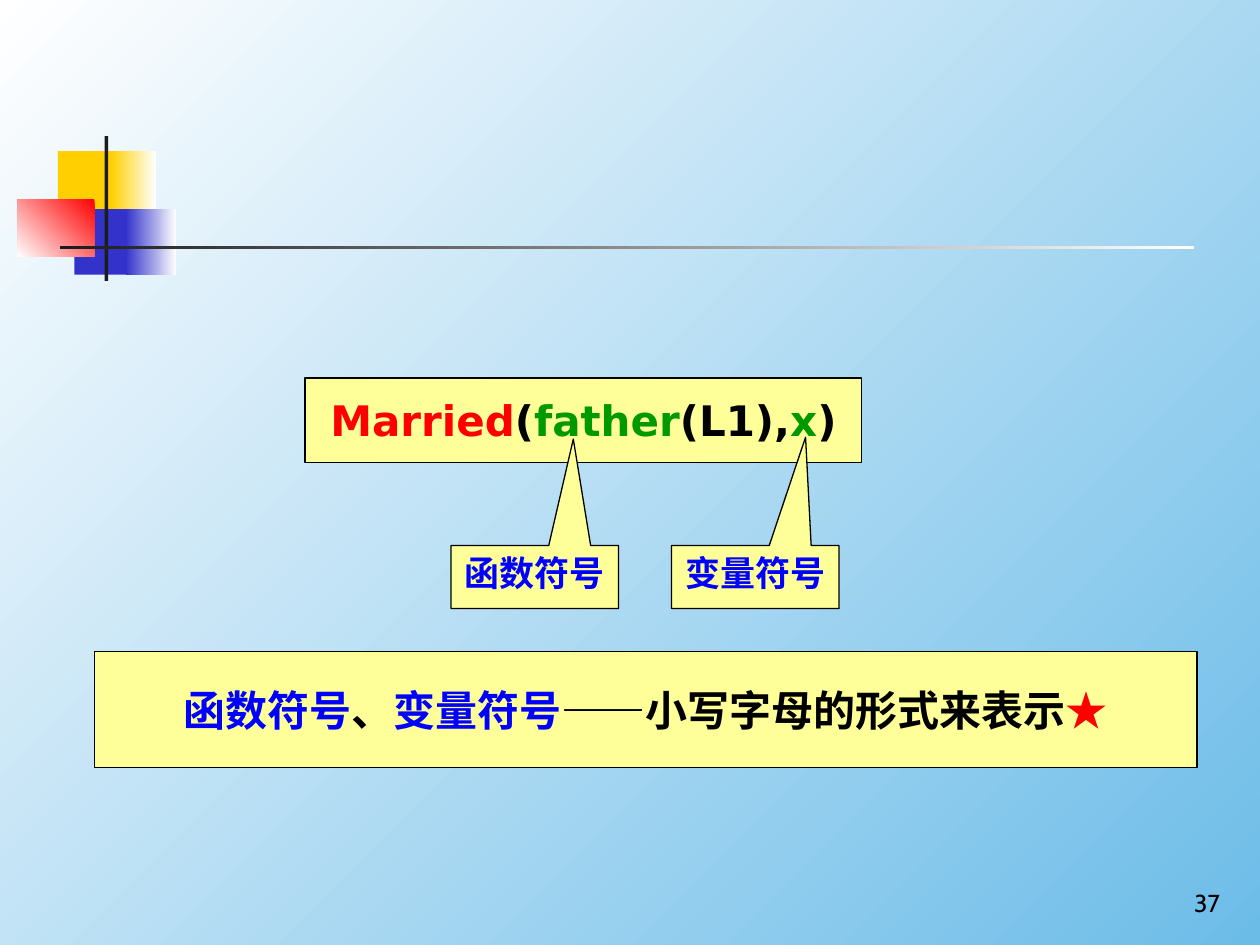
from pptx import Presentation
from pptx.dml.color import RGBColor
from pptx.enum.shapes import MSO_SHAPE
from pptx.enum.text import MSO_ANCHOR, PP_ALIGN
from pptx.util import Inches, Pt

RECTANGLE = MSO_SHAPE.RECTANGLE
CALLOUT = MSO_SHAPE.RECTANGULAR_CALLOUT
TOP, MIDDLE, BOTTOM = MSO_ANCHOR.TOP, MSO_ANCHOR.MIDDLE, MSO_ANCHOR.BOTTOM
CENTER, RIGHT = PP_ALIGN.CENTER, PP_ALIGN.RIGHT
FONT, SYMBOL_FONT, NUMBER_FONT = "DejaVu Sans", "Arial", "Cabin"
BLACK, WHITE, RED, GREEN, BLUE = "000000", "FFFFFF", "FF0000", "009900", "0000FF"
GOLD, INDIGO, CHARCOAL, SKY, CREAM = "FFCF01", "3333CC", "1C1C1C", "6CBCE8", "FFFF99"


def color(value):
    return RGBColor.from_string(value)


def fill_solid(fill, value):
    fill.solid()
    fill.fore_color.rgb = color(value)


def fill_gradient(fill, start, end, angle):
    fill.gradient()
    fill.gradient_angle = angle
    for stop, value, position in zip(fill.gradient_stops, (start, end), (0, 1)):
        stop.color.rgb = color(value)
        stop.position = position


def add_block(slide, box, kind=RECTANGLE):
    shape = slide.shapes.add_shape(kind, *map(Inches, box))
    shape.shadow.inherit = False
    shape.line.fill.background()
    return shape


def write_text(shape, runs, size, anchor, alignment, bold=True, wrap=True):
    text_frame = shape.text_frame
    text_frame.word_wrap = wrap
    text_frame.vertical_anchor = anchor
    paragraph = text_frame.paragraphs[0]
    paragraph.alignment = alignment
    for text, value, font_name in runs:
        run = paragraph.add_run()
        run.text = text
        run.font.name = font_name
        run.font.size = Pt(size)
        run.font.bold = bold
        run.font.color.rgb = color(value)


def add_ornament(slide, left, top):
    parts = [
        ((0.32, 0.12, 0.48, 0.52), GOLD, None, 0),
        ((0.74, 0.12, 0.36, 0.52), WHITE, GOLD, 180),
        ((0.45, 0.58, 0.46, 0.52), INDIGO, None, 0),
        ((0.86, 0.58, 0.4, 0.52), WHITE, INDIGO, 180),
        ((0, 0.5, 0.61, 0.46), RED, WHITE, 225),
        ((0.69, 0, 0.03, 1.15), CHARCOAL, None, 0),
        ((0.34, 0.87, 9, 0.03), WHITE, CHARCOAL, 180),
    ]
    for (x, y, width, height), start, end, angle in parts:
        shape = add_block(slide, (left + x, top + y, width, height))
        if end:
            fill_gradient(shape.fill, start, end, angle)
        else:
            fill_solid(shape.fill, start)


def add_panel(slide, box, runs, size=24, kind=RECTANGLE, anchor=MIDDLE, wrap=False):
    shape = add_block(slide, box, kind)
    fill_solid(shape.fill, CREAM)
    shape.line.color.rgb = color(BLACK)
    shape.line.width = Pt(0.75)
    write_text(shape, runs, size, anchor, CENTER, wrap=wrap)
    return shape


def add_callout(slide, box, label, tip):
    shape = add_panel(slide, box, [(label, BLUE, FONT)], 20, CALLOUT, TOP, True)
    shape.adjustments[0], shape.adjustments[1] = tip


def add_page_number(slide, box, number):
    shape = slide.shapes.add_textbox(*map(Inches, box))
    write_text(shape, [(number, BLACK, NUMBER_FONT)], 14, BOTTOM, RIGHT, bold=False)


def main():
    presentation = Presentation()
    presentation.slide_width, presentation.slide_height = Inches(10), Inches(7.5)
    slide = presentation.slides.add_slide(presentation.slide_layouts[6])
    fill_gradient(slide.background.fill, SKY, WHITE, 135)
    add_ornament(slide, 0.14, 1.08)
    add_panel(slide, (2.42, 3, 4.42, 0.67), [
        ("Married", RED, FONT),
        ("(", BLACK, FONT),
        ("father", GREEN, FONT),
        ("(L1),", BLACK, FONT),
        ("x", GREEN, FONT),
        (")", BLACK, FONT),
    ])
    add_panel(slide, (0.75, 5.17, 8.75, 0.92), [
        ("函数符号", BLUE, FONT),
        ("、", BLACK, FONT),
        ("变量符号", BLUE, FONT),
        ("——", BLACK, SYMBOL_FONT),
        ("小写字母的形式来表示", BLACK, FONT),
        ("★", RED, SYMBOL_FONT),
    ])
    add_callout(slide, (5.33, 4.33, 1.33, 0.5), "变量符号", (0.3, -2.22))
    add_callout(slide, (3.58, 4.33, 1.33, 0.5), "函数符号", (0.23, -2.19))
    add_page_number(slide, (7.7, 6.83, 2.08, 0.5), "37")
    presentation.save("out.pptx")


if __name__ == "__main__":
    main()
